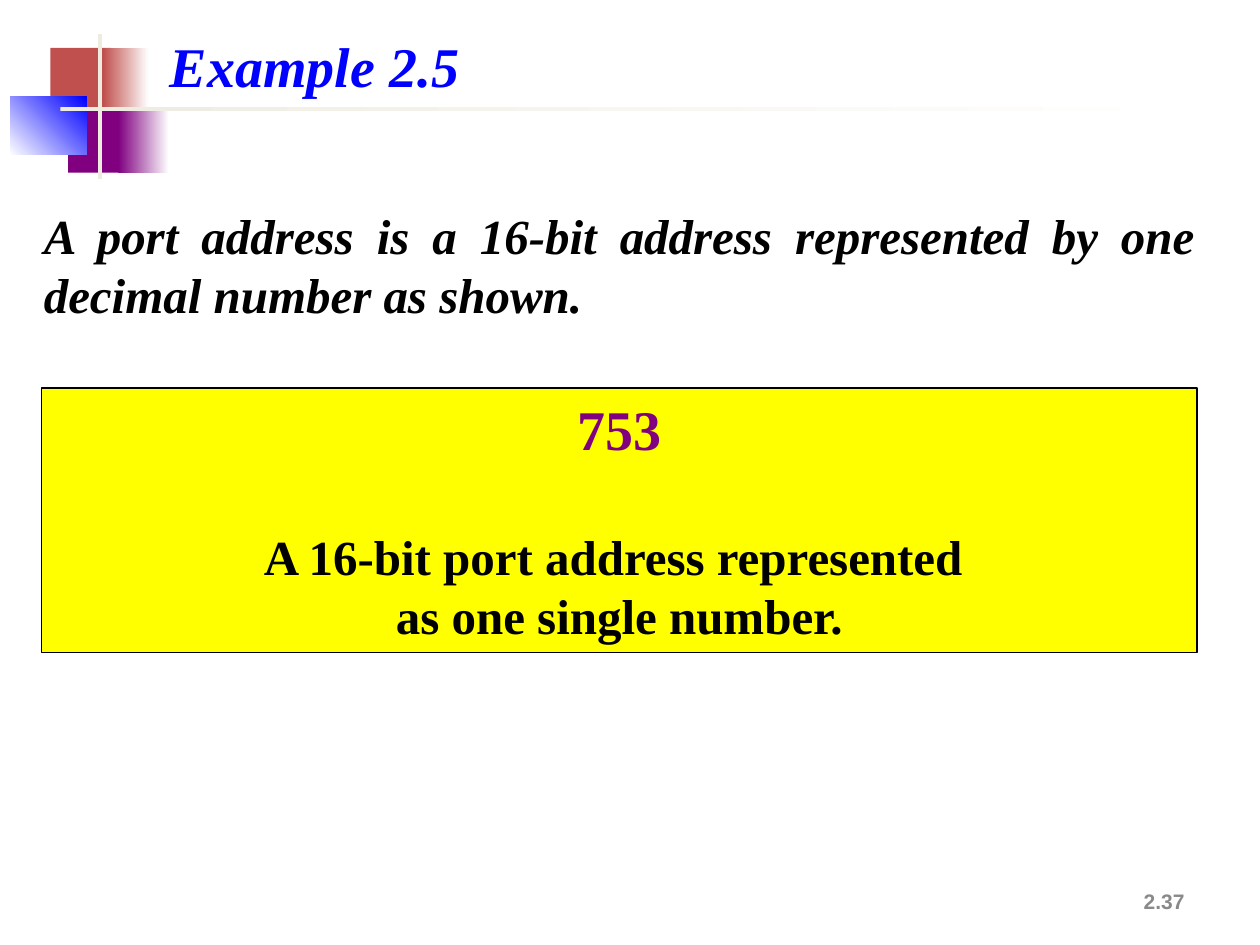
from pptx import Presentation
from pptx.dml.color import RGBColor
from pptx.enum.shapes import MSO_SHAPE
from pptx.enum.text import MSO_ANCHOR, MSO_AUTO_SIZE, PP_ALIGN
from pptx.util import Inches, Pt

COLORS = {
    "red": "C0504D", "purple": "800080", "blue": "0000FF", "cream": "EEECE1",
    "white": "FFFFFF", "yellow": "FFFF00", "black": "000000", "gray": "898989",
}
COLUMNS, ROWS = 100, 75
SLIDE_WIDTH, SLIDE_HEIGHT = Inches(10), Inches(7.5)
SERIF, SANS = "Times New Roman", "Arial"


def rgb(color):
    """Look up a palette colour."""
    return RGBColor.from_string(COLORS[color])


def place(column, row, columns, rows):
    """Turn grid columns and rows into slide lengths."""
    across, down = SLIDE_WIDTH / COLUMNS, SLIDE_HEIGHT / ROWS
    return (int(column * across), int(row * down),
            int(columns * across), int(rows * down))


def add_block(slide, cells, color, fade_to=None, angle=0):
    """Add a borderless rectangle, plain or fading to a second colour."""
    block = slide.shapes.add_shape(MSO_SHAPE.RECTANGLE, *place(*cells))
    block.shadow.inherit = False
    block.line.fill.background()
    if fade_to:
        block.fill.gradient()
        block.fill.gradient_angle = angle
        for stop, shade in zip(block.fill.gradient_stops, (color, fade_to)):
            stop.color.rgb = rgb(shade)
    else:
        block.fill.solid()
        block.fill.fore_color.rgb = rgb(color)
    return block


def style(paragraph, size, color, align, font=SERIF, italic=False):
    """Format a paragraph and all of its runs."""
    paragraph.alignment = align
    for run in paragraph.runs:
        run.font.name, run.font.size = font, Pt(size)
        run.font.bold, run.font.italic = True, italic
        run.font.color.rgb = rgb(color)


def add_text(slide, cells, wording, size, color, align, wrap=True,
             anchor=MSO_ANCHOR.TOP, **look):
    """Add a text box with one paragraph."""
    frame = slide.shapes.add_textbox(*place(*cells)).text_frame
    frame.word_wrap = wrap
    frame.vertical_anchor = anchor
    frame.text = wording
    style(frame.paragraphs[0], size, color, align, **look)


def add_emblem(slide):
    """Draw the overlapping squares and crossing bars beside the title."""
    add_block(slide, (4, 3.8, 4.8, 5.2), "red")
    add_block(slide, (8.2, 3.8, 3.6, 5.2), "red", "white")
    add_block(slide, (5.4, 8.5, 4.6, 5.2), "purple")
    add_block(slide, (9.4, 8.5, 4, 5.2), "purple", "white")
    add_block(slide, (0.8, 7.7, 6.1, 4.6), "white", "blue", angle=45)
    add_block(slide, (7.8, 2.7, 0.3, 11.5), "cream")
    add_block(slide, (4.8, 8.5, 90, 0.3), "cream", "white")


def add_port_panel(slide):
    """Add the framed panel with the port number and its caption."""
    panel = add_block(slide, (3.3, 30.8, 91.7, 21), "yellow")
    panel.line.color.rgb = rgb("black")
    panel.line.width = Pt(0.75)
    frame = panel.text_frame
    frame.word_wrap = True
    frame.auto_size = MSO_AUTO_SIZE.SHAPE_TO_FIT_TEXT
    frame.vertical_anchor = MSO_ANCHOR.TOP
    port = frame.paragraphs[0]
    port.text = "753"
    style(port, 32, "purple", PP_ALIGN.CENTER)
    caption = frame.add_paragraph()
    caption.text = "A 16-bit port address represented \vas one single number."
    caption.space_before = Pt(37)
    style(caption, 28, "black", PP_ALIGN.CENTER)


def main():
    """Build and save the port address slide."""
    deck = Presentation()
    deck.slide_width, deck.slide_height = SLIDE_WIDTH, SLIDE_HEIGHT
    slide = deck.slides.add_slide(deck.slide_layouts[6])
    add_text(slide, (71.7, 69.5, 23.3, 4), "2.37", 12, "gray", PP_ALIGN.RIGHT,
             anchor=MSO_ANCHOR.MIDDLE, font=SANS)
    add_emblem(slide)
    add_text(slide, (12.5, 2, 25, 6.4), "Example 2.5", 32, "blue",
             PP_ALIGN.LEFT, wrap=False, italic=True)
    add_text(slide, (2.5, 15.8, 93.3, 10.4),
             "A port address is a 16-bit address represented by one "
             "decimal number as shown.",
             28, "black", PP_ALIGN.JUSTIFY, italic=True)
    add_port_panel(slide)
    deck.save("out.pptx")


if __name__ == "__main__":
    main()
